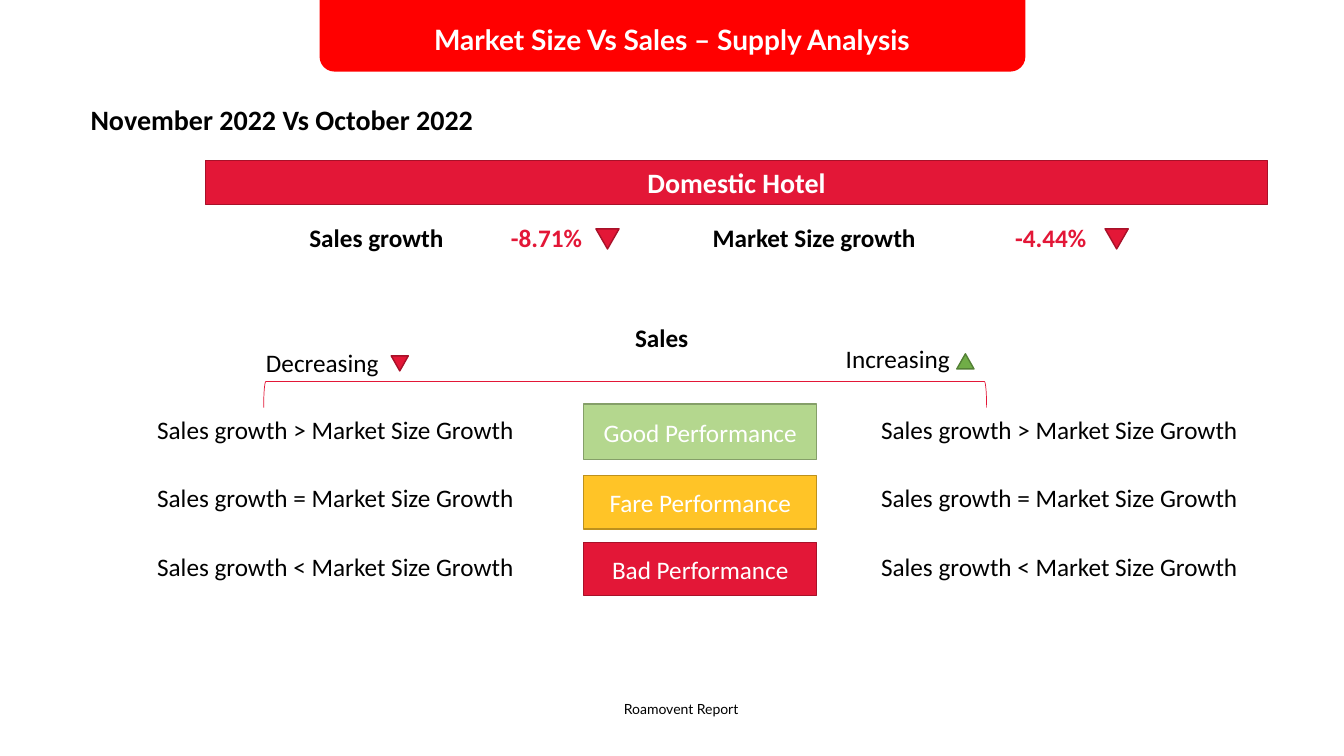
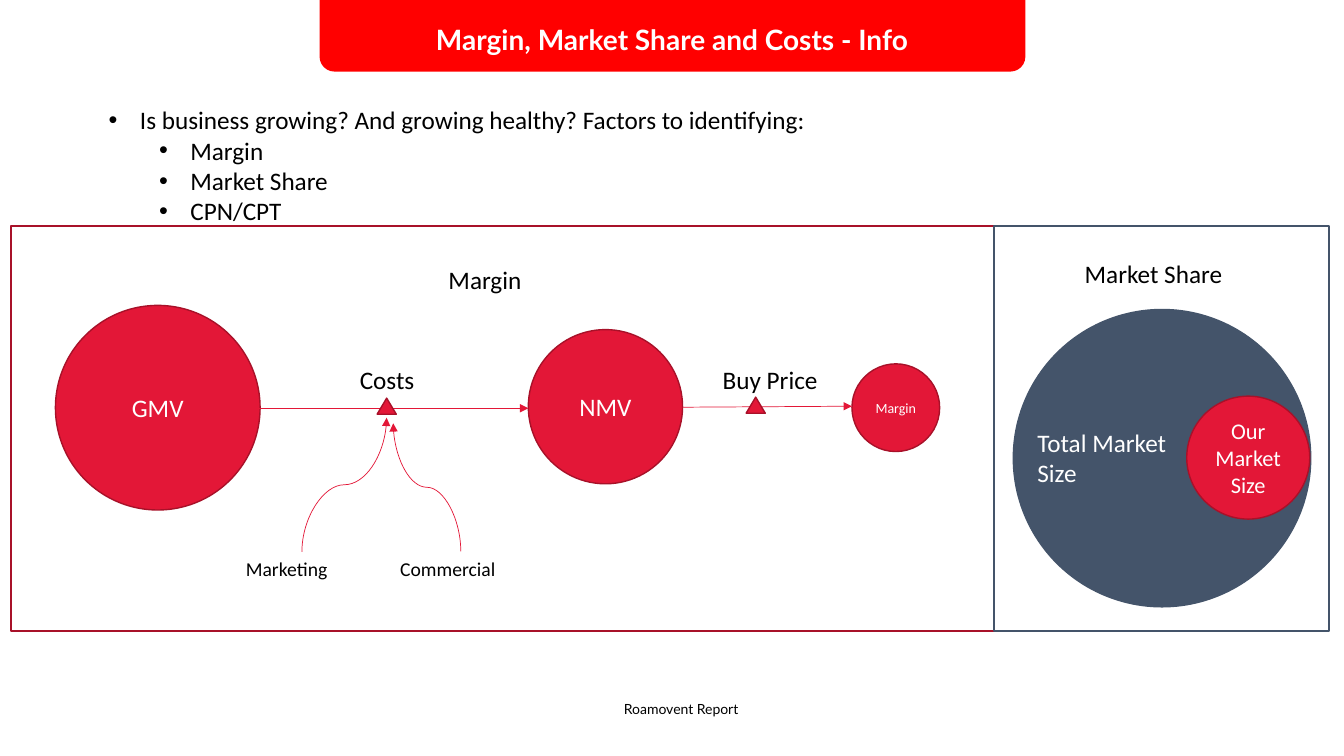
"""Build two report slides: supply analysis, and margin with market share."""
from lxml.etree import SubElement
from pptx import Presentation
from pptx.dml.color import RGBColor
from pptx.enum.shapes import MSO_CONNECTOR, MSO_SHAPE
from pptx.enum.text import MSO_ANCHOR, PP_ALIGN
from pptx.oxml.ns import qn
from pptx.util import Inches, Pt

C = {
    "band": "FF0000", "red": "E31737", "dark_red": "A81129",
    "light_green": "B4D78E", "olive": "859F69",
    "amber": "FFC427", "dark_amber": "BD911D",
    "green": "70AD47", "dark_green": "538035",
    "slate": "44546A", "black": "000000", "white": "FFFFFF",
}
RED = {"fill": "red", "line": "dark_red"}
BODY = {"name": "Calibri", "size": Pt(18), "bold": False}
TITLE = {"name": "Lato", "size": Pt(20), "bold": True}
FOOTER = {"name": "Lato", "size": Pt(10)}


def write(p, text, color="black", **font):
    r = p.add_run()
    r.text = text
    for name, value in (BODY | font).items():
        setattr(r.font, name, value)
    r.font.color.rgb = RGBColor.from_string(C[color])


def add(s, geom, box, text="", color=None, fill=None, line=None, weight=1, rot=0, **font):
    box = [Inches(v) for v in box]
    if geom is None:
        sp = s.shapes.add_textbox(*box)
    else:
        sp = s.shapes.add_shape(geom, *box)
        sp.shadow.inherit = False
        sp.rotation = rot
        for part, shade in ((sp.fill, fill), (sp.line.fill, line)):
            if shade:
                part.solid()
                part.fore_color.rgb = RGBColor.from_string(C[shade])
            else:
                part.background()
        if line:
            sp.line.width = Pt(weight)
    tf = sp.text_frame
    tf.word_wrap = True
    if text:
        tf.vertical_anchor = MSO_ANCHOR.MIDDLE if geom else MSO_ANCHOR.TOP
        p = tf.paragraphs[0]
        p.alignment = PP_ALIGN.CENTER if geom else PP_ALIGN.LEFT
        write(p, text, color or ("white" if geom else "black"), **font)
    return sp


prs = Presentation()
prs.slide_width, prs.slide_height = Inches(13.33), Inches(7.5)

slides = []
for heading in ("Market Size Vs Sales – Supply Analysis",
                "Margin, Market Share and Costs - Info"):
    s = prs.slides.add_slide(prs.slide_layouts[5])
    title = s.shapes.title
    band = add(s, MSO_SHAPE.ROUNDED_RECTANGLE, (3.17, -0.18, 7, 0.89), fill="band")
    title.element.addprevious(band.element)
    frame = {"left": 1.6, "top": 0.22, "width": 10.13, "height": 0.34}
    for name, value in frame.items():
        setattr(title, name, Inches(value))
    tf = title.text_frame
    for side in ("left", "top", "right", "bottom"):
        setattr(tf, f"margin_{side}", 0)
    tf.vertical_anchor = MSO_ANCHOR.MIDDLE
    tf.paragraphs[0].alignment = PP_ALIGN.CENTER
    write(tf.paragraphs[0], heading, "white", **TITLE)
    add(s, None, (6.09, 6.9, 1.34, 0.27), "Roamovent Report", **FOOTER)
    slides.append(s)

supply, margin = slides

growth = add(supply, None, (2.97, 2.16, 10.36, 0.4))
p = growth.text_frame.paragraphs[0]
for text, color in (("Sales growth\t", "black"), ("-8.71%\t", "red"),
                    ("Market Size growth\t", "black"), ("-4.44%", "red")):
    write(p, text, color, bold=True)
tabs = SubElement(p._p.get_or_add_pPr(), qn("a:tabLst"))
for stop in (2, 4, 7):
    SubElement(tabs, qn("a:tab"), pos=str(Inches(stop)), algn="l")
for left in (5.91, 10.96):
    add(supply, MSO_SHAPE.ISOSCELES_TRIANGLE, (left, 2.27, 0.23, 0.2), rot=180, **RED)

add(supply, None, (0.8, 0.97, 4.36, 0.44), "November 2022 Vs October 2022",
    size=Pt(20), bold=True)
add(supply, MSO_SHAPE.RECTANGLE, (2.04, 1.59, 10.53, 0.44), "Domestic Hotel",
    size=Pt(20), bold=True, **RED)

ratings = (
    ("Good", ">", 4.01, 0.55, "light_green", "olive"),
    ("Fare", "=", 4.72, 0.53, "amber", "dark_amber"),
    ("Bad", "<", 5.38, 0.53, "red", "dark_red"),
)
for i, (rating, sign, top, height, fill, line) in enumerate(ratings):
    add(supply, MSO_SHAPE.RECTANGLE, (5.79, top, 2.31, height),
        f"{rating} Performance", fill=fill, line=line)
    for left in (1.46, 8.64):
        add(supply, None, (left, 4.06 + 0.68 * i, 4.49, 0.4),
            f"Sales growth {sign} Market Size Growth")

add(supply, None, (6.2, 3.15, 1.57, 0.4), "Sales", bold=True)
add(supply, MSO_SHAPE.LEFT_BRACKET, (6.07, 0.33, 0.26, 7.17),
    line="red", weight=0.5, rot=90)
add(supply, None, (8.29, 3.36, 1.57, 0.4), "Increasing")
add(supply, None, (2.54, 3.4, 1.57, 0.4), "Decreasing")
add(supply, MSO_SHAPE.ISOSCELES_TRIANGLE, (9.49, 3.51, 0.17, 0.15),
    fill="green", line="dark_green")
add(supply, MSO_SHAPE.ISOSCELES_TRIANGLE, (3.88, 3.53, 0.17, 0.15), rot=180, **RED)

factors = add(margin, None, (0.98, 0.99, 7.19, 1.31))
tf = factors.text_frame
for i, (text, level) in enumerate((
        ("Is business growing? And growing healthy? Factors to identifying:", 0),
        ("Margin", 1), ("Market Share", 1), ("CPN/CPT", 1))):
    p = tf.add_paragraph() if i else tf.paragraphs[0]
    p.level = level
    write(p, text)
    pPr = p._p.get_or_add_pPr()
    pPr.set("marL", str(Inches(0.31 + 0.5 * level)))
    pPr.set("indent", str(Inches(-0.31)))
    SubElement(pPr, qn("a:buFont"), typeface="Arial")
    SubElement(pPr, qn("a:buChar"), char="•")

for text, left, top, size, pt in (("GMV", 0.55, 3.03, 2.03, 18),
                                  ("NMV", 5.24, 3.27, 1.53, 18),
                                  ("Margin", 8.45, 3.61, 0.87, 10)):
    add(margin, MSO_SHAPE.OVAL, (left, top, size, size), text, size=Pt(pt), **RED)

straight, curve = MSO_CONNECTOR.STRAIGHT, MSO_CONNECTOR.CURVE
for kind, ends, rot in ((straight, (2.34, 4.05, 5.24, 4.05), 0),
                        (straight, (6.77, 4.04, 8.45, 4.03), 0),
                        (curve, (4.08, 5.23, 2.75, 4.39), 90),
                        (curve, (3.6, 5.17, 4.87, 4.5), 270)):
    arrow = margin.shapes.add_connector(kind, *[Inches(v) for v in ends])
    arrow.line.color.rgb = RGBColor.from_string(C["red"])
    arrow.line.width = Pt(0.5)
    spPr = arrow.element.spPr
    spPr.find(qn("a:xfrm")).set("rot", str(rot * 60000))
    SubElement(spPr.find(qn("a:ln")), qn("a:tailEnd"), type="triangle")
    SubElement(spPr, qn("a:effectLst"))

for left, top in ((3.74, 3.95), (7.4, 3.94)):
    add(margin, MSO_SHAPE.ISOSCELES_TRIANGLE, (left, top, 0.19, 0.16), **RED)

add(margin, MSO_SHAPE.OVAL, (10.05, 3.07, 2.95, 2.95), fill="slate", line="slate")
add(margin, MSO_SHAPE.OVAL, (11.77, 3.93, 1.22, 1.22), "Our Market Size",
    size=Pt(16), **RED)

for text, box, color, pt in (
        ("Costs", (3.47, 3.57, 1.37, 0.37), "black", 18),
        ("Buy Price", (7.07, 3.57, 1.37, 0.37), "black", 18),
        ("Margin", (4.35, 2.57, 1.73, 0.37), "black", 18),
        ("Market Share", (10.66, 2.51, 1.73, 0.4), "black", 18),
        ("Marketing", (2.34, 5.48, 1.4, 0.34), "black", 14),
        ("Commercial", (3.87, 5.48, 1.4, 0.34), "black", 14),
        ("Total Market Size", (10.19, 4.19, 1.53, 0.71), "white", 18)):
    add(margin, None, box, text, color, size=Pt(pt))

for left, width, line in ((0.11, 9.75, "dark_red"), (9.86, 3.32, "slate")):
    add(margin, MSO_SHAPE.RECTANGLE, (left, 2.24, width, 4.02), line=line)

prs.save("out.pptx")
